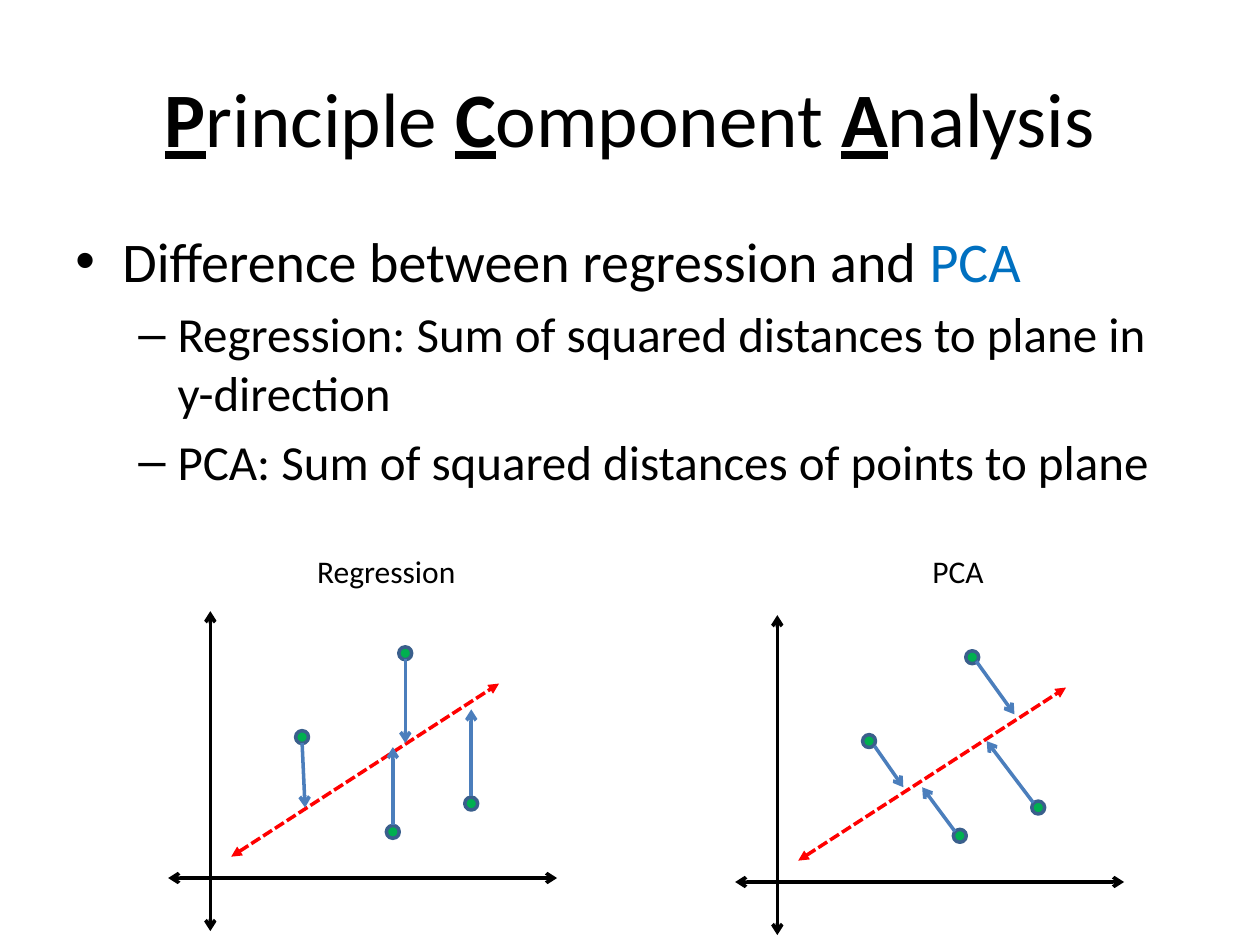
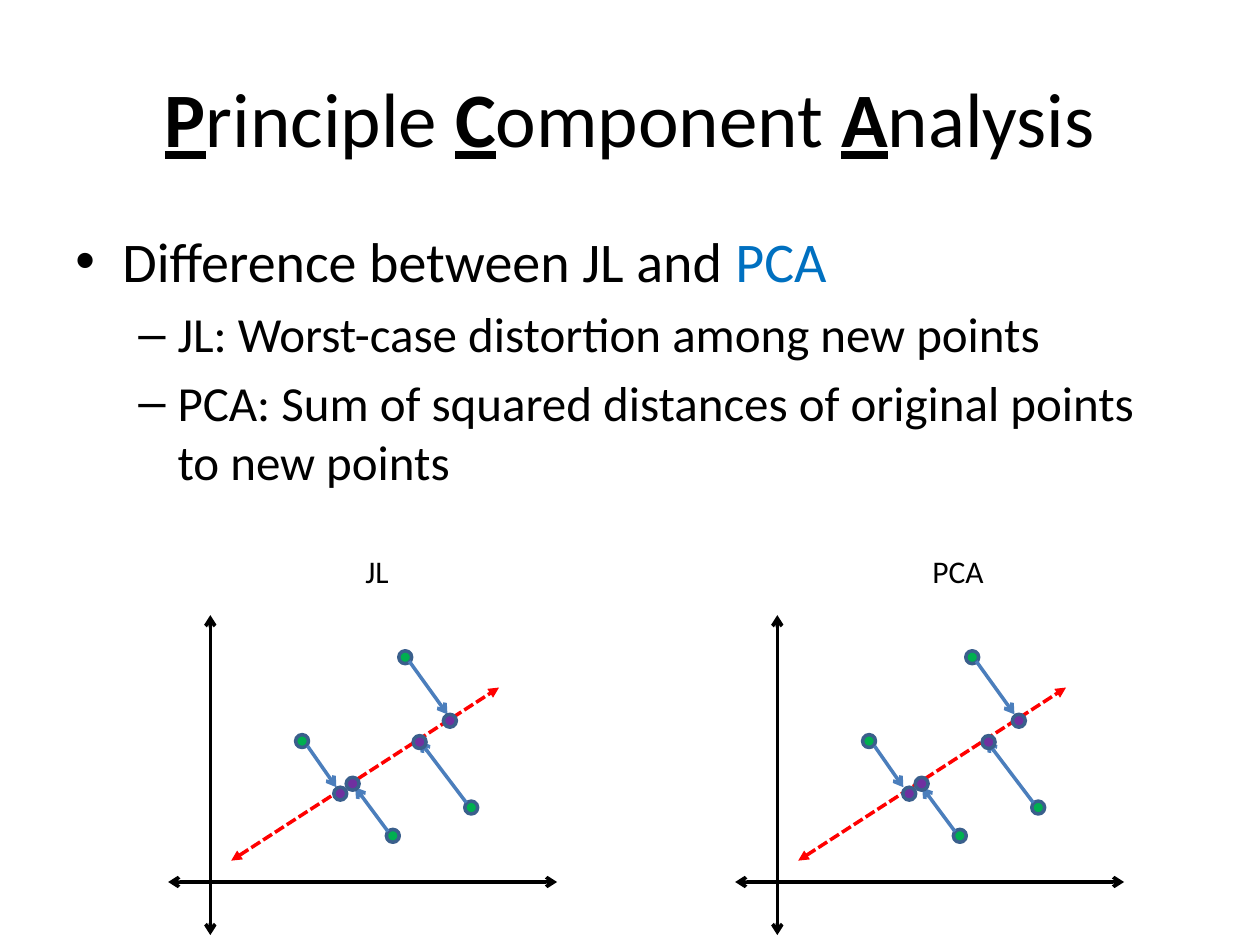
"""Build two slides that contrast PCA with regression and with JL."""
from lxml import etree
from pptx import Presentation
from pptx.dml.color import RGBColor
from pptx.enum import dml, shapes, text
from pptx.oxml import ns
from pptx.util import Cm, Pt

BLACK = RGBColor(0x00, 0x00, 0x00)
BLUE = RGBColor(0x00, 0x70, 0xC0)
GREEN = RGBColor(0x00, 0xB0, 0x50)
PURPLE = RGBColor(0x70, 0x30, 0xA0)
RED = RGBColor(0xFF, 0x00, 0x00)
ARROW_BLUE = RGBColor(0x4B, 0x7E, 0xBC)
RIM_BLUE = RGBColor(0x3A, 0x5F, 0x8C)
FONT = "Calibri"

TITLE_WORDS = ("Principle ", "Component ", "Analysis")

AXES = [((0, -5.38), (0, 1.07)), ((-0.85, 0), (6.99, 0))]
FIT_LINE = ((0.42, -0.43), (5.82, -3.92))
POINTS = [(3.68, -0.93), (1.85, -2.84), (5.26, -1.5), (3.93, -4.53)]
NEW_POINTS = [(2.62, -1.78), (2.87, -1.98), (4.22, -2.82), (4.83, -3.25)]
VERTICAL = [
    ((1.85, -2.72), (1.91, -1.42)),
    ((3.93, -4.42), (3.93, -2.72)),
    ((5.26, -1.65), (5.26, -3.4)),
    ((3.68, -1.07), (3.68, -2.64)),
]
PERPENDICULAR = [
    ((1.96, -2.74), (2.54, -1.91)),
    ((4.01, -4.45), (4.78, -3.38)),
    ((5.16, -1.6), (4.22, -2.84)),
    ((3.58, -1.02), (2.92, -1.91)),
]

LEFT_ORIGIN, RIGHT_ORIGIN = (4.24, 17.78), (15.67, 17.78)
DOT = 0.26
LABEL_TOP, LABEL_HEIGHT = 11.0, 1.02

PCA_PLOT = {"label": "PCA", "label_center": 19.32, "label_width": 1.55,
            "origin": RIGHT_ORIGIN, "arrows": PERPENDICULAR}
SLIDES = [
    {
        "topic": "Difference between regression and ",
        "details": [
            "Regression: Sum of squared distances to plane in y-direction",
            "PCA: Sum of squared distances of points to plane",
        ],
        "plots": [
            {"label": "Regression", "label_center": 7.81, "label_width": 3.33,
             "origin": (4.24, 17.7), "arrows": VERTICAL},
            PCA_PLOT,
        ],
    },
    {
        "topic": "Difference between JL and ",
        "details": [
            "JL: Worst-case distortion among new points",
            "PCA: Sum of squared distances of original points to new points",
        ],
        "plots": [
            {"label": "JL", "label_center": 7.61, "label_width": 0.99,
             "origin": LEFT_ORIGIN, "arrows": PERPENDICULAR,
             "new_points": NEW_POINTS},
            {**PCA_PLOT, "new_points": [(x + 0.04, y) for x, y in NEW_POINTS]},
        ],
    },
]


def add_run(paragraph, words, size, color=BLACK, emphasis=False):
    run = paragraph.add_run()
    run.text = words
    run.font.name, run.font.size = FONT, Pt(size)
    run.font.color.rgb = color
    run.font.bold = run.font.underline = emphasis


def add_title(slide):
    title = slide.shapes.title
    title.left, title.top, title.width, title.height = Cm(1.27), Cm(0.76), Cm(22.86), Cm(3.18)
    title.text_frame.vertical_anchor = text.MSO_ANCHOR.MIDDLE
    heading = title.text_frame.paragraphs[0]
    heading.alignment = text.PP_ALIGN.CENTER
    for word in TITLE_WORDS:
        add_run(heading, word[0], 44, emphasis=True)
        add_run(heading, word[1:], 44)


def set_bullet(paragraph, mark, margin, hanging):
    properties = paragraph._p.get_or_add_pPr()
    properties.set("marL", str(Cm(margin)))
    properties.set("indent", str(-Cm(hanging)))
    etree.SubElement(properties, ns.qn("a:buFont")).set("typeface", "Arial")
    etree.SubElement(properties, ns.qn("a:buChar")).set("char", mark)


def add_body(slide, topic, details):
    frame = slide.shapes.add_textbox(Cm(1.27), Cm(4.45), Cm(22.86), Cm(6.55)).text_frame
    frame.word_wrap = True
    lead = frame.paragraphs[0]
    set_bullet(lead, "•", 0.95, 0.95)
    add_run(lead, topic, 32)
    add_run(lead, "PCA", 32, BLUE)
    for detail in details:
        paragraph = frame.add_paragraph()
        paragraph.level = 1
        set_bullet(paragraph, "–", 2.06, 0.79)
        paragraph.space_before = Pt(5.6)
        add_run(paragraph, detail, 28)


def add_line(slide, origin, ends, color, tail, head=None, dash=None):
    (x1, y1), (x2, y2) = ends
    left, base = origin
    line = slide.shapes.add_connector(
        shapes.MSO_CONNECTOR.STRAIGHT,
        Cm(left + x1), Cm(base + y1), Cm(left + x2), Cm(base + y2))
    line.line.color.rgb = color
    line.line.width = Pt(2)
    if dash:
        line.line.dash_style = dash
    outline = line.line._get_or_add_ln()
    for tag, kind in (("a:headEnd", head), ("a:tailEnd", tail)):
        if kind:
            etree.SubElement(outline, ns.qn(tag)).set("type", kind)
    etree.SubElement(line._element.spPr, ns.qn("a:effectLst"))


def add_dot(slide, origin, center, color):
    left, top = (o + c - DOT / 2 for o, c in zip(origin, center))
    dot = slide.shapes.add_shape(shapes.MSO_SHAPE.OVAL, Cm(left), Cm(top), Cm(DOT), Cm(DOT))
    dot.shadow.inherit = False
    dot.fill.solid()
    dot.fill.fore_color.rgb = color
    dot.line.color.rgb = RIM_BLUE
    dot.line.width = Pt(2)


def add_plot(slide, label, label_center, label_width, origin, arrows, new_points=()):
    for axis in AXES:
        add_line(slide, origin, axis, BLACK, "arrow", "arrow")
    for point in POINTS:
        add_dot(slide, origin, point, GREEN)
    add_line(slide, origin, FIT_LINE, RED, "triangle", "triangle",
             dml.MSO_LINE.SQUARE_DOT)
    for arrow in arrows:
        add_line(slide, origin, arrow, ARROW_BLUE, "arrow")
    for point in new_points:
        add_dot(slide, origin, point, PURPLE)
    caption = slide.shapes.add_textbox(
        Cm(label_center - label_width / 2), Cm(LABEL_TOP),
        Cm(label_width), Cm(LABEL_HEIGHT)).text_frame
    caption.word_wrap = False
    caption.auto_size = text.MSO_AUTO_SIZE.SHAPE_TO_FIT_TEXT
    add_run(caption.paragraphs[0], label, 18)


def main():
    deck = Presentation()
    deck.slide_width, deck.slide_height = Cm(25.4), Cm(19.05)
    title_only = deck.slide_layouts[5]
    for content in SLIDES:
        slide = deck.slides.add_slide(title_only)
        add_title(slide)
        add_body(slide, content["topic"], content["details"])
        for plot in content["plots"]:
            add_plot(slide, **plot)
    deck.save("out.pptx")


if __name__ == "__main__":
    main()
